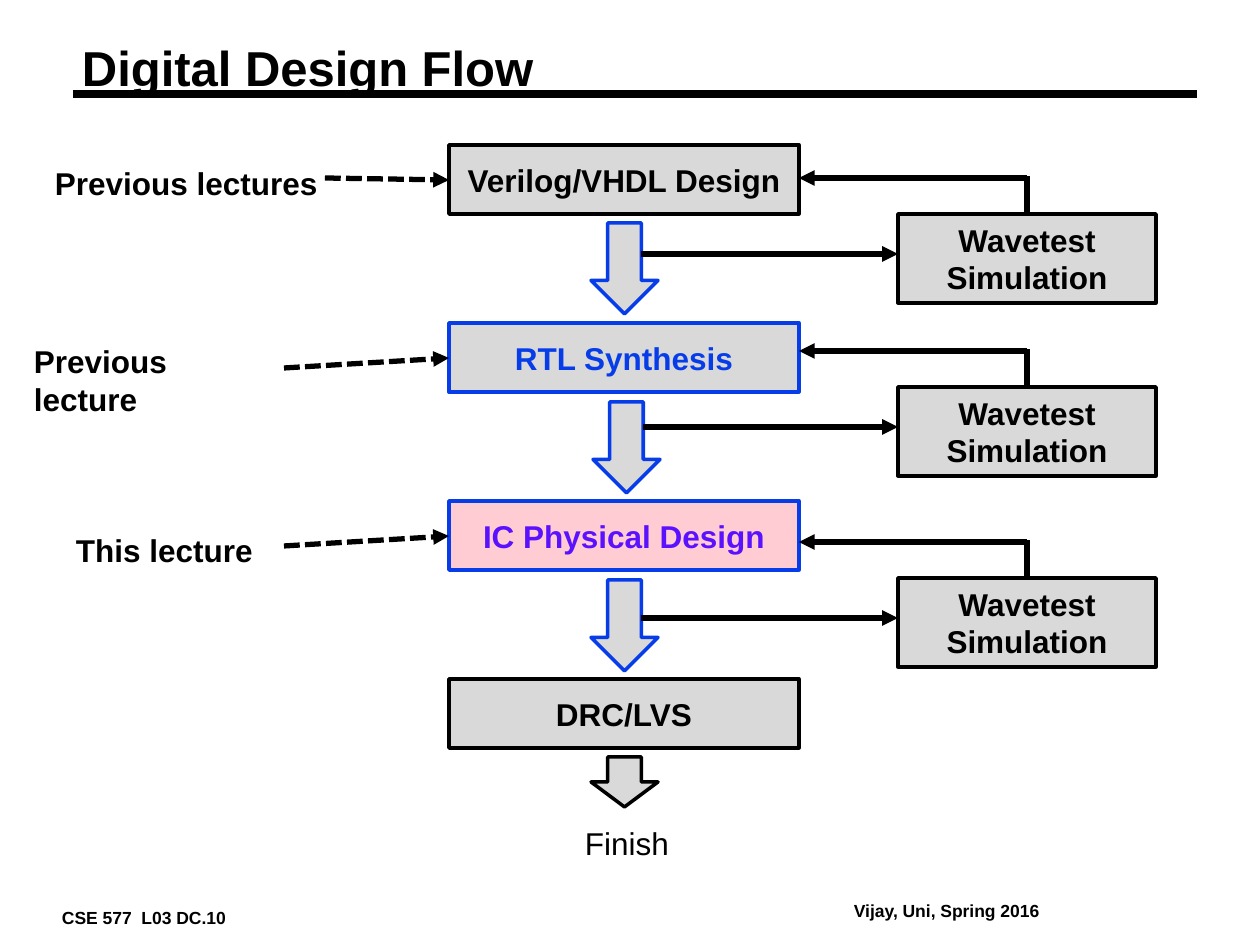
"""Build the Digital Design Flow slide."""
from dataclasses import dataclass

from lxml.etree import SubElement
from pptx import Presentation
from pptx.dml.color import RGBColor as RGB
from pptx.enum.dml import MSO_LINE as DASH
from pptx.enum.shapes import MSO_CONNECTOR as CONN, MSO_SHAPE as SHAPE
from pptx.enum.text import MSO_ANCHOR as ANCHOR, PP_ALIGN as ALIGN
from pptx.oxml.ns import qn
from pptx.util import Pt


@dataclass(frozen=True)
class Theme:
    font: str = "Arial"
    black: RGB = RGB(0, 0, 0)
    blue: RGB = RGB(0x06, 0x3D, 0xE8)
    violet: RGB = RGB(0x5A, 0x11, 0xFD)
    grey: RGB = RGB(0xD9, 0xD9, 0xD9)
    pink: RGB = RGB(0xFF, 0xCC, 0xD4)
    title: int = 28
    body: int = 18
    footer: int = 10
    outline: int = 2
    arrow: int = 3
    rule: float = 4.5


T = Theme()
PX = 914400 / 126

prs = Presentation()
prs.slide_width, prs.slide_height = round(1260 * PX), round(945 * PX)
s = prs.slides.add_slide(prs.slide_layouts[5])


def write(sp, text, size=T.body, color=T.black, bold=True, align=ALIGN.LEFT):
    """Fill a shape with evenly formatted paragraphs."""
    tf = sp.text_frame
    tf.text = text
    for p in tf.paragraphs:
        p.alignment = align
        p.font.name, p.font.size, p.font.bold = T.font, Pt(size), bold
        p.font.color.rgb = color
    return tf


def connect(x1, y1, x2, y2, width=T.arrow, head=True, dash=None):
    """Draw a straight black line, with an arrowhead at its end if wanted."""
    cxn = s.shapes.add_connector(CONN.STRAIGHT, *(round(v * PX) for v in (x1, y1, x2, y2)))
    cxn.line.color.rgb, cxn.line.width = T.black, Pt(width)
    if dash:
        cxn.line.dash_style = dash
    if head:
        SubElement(cxn.line._get_or_add_ln(), qn("a:tailEnd"), type="triangle")
    SubElement(cxn._element.spPr, qn("a:effectLst"))


title = s.shapes.title
title.left, title.top, title.width, title.height = (round(v * PX) for v in (73, 42, 1124, 58))
tf = write(title, "Digital Design Flow", T.title)
tf.vertical_anchor = ANCHOR.TOP
tf.paragraphs[0].line_spacing = 0.87
tf.margin_left = tf.margin_right = round(9 * PX)
tf.margin_top = tf.margin_bottom = round(4 * PX)
connect(73, 94, 1197, 94, T.rule, head=False)

BOX_X, BOX_W, BOX_H = 449, 350, 69
SIM_X, SIM_W, SIM_H = 898, 258, 89
ARROW_W = 67
SIM_MID = SIM_X + SIM_W // 2

stages = [
    ("Verilog/VHDL Design", T.grey, T.black, T.black),
    ("RTL Synthesis", T.grey, T.blue, T.blue),
    ("IC Physical Design", T.pink, T.blue, T.violet),
    ("DRC/LVS", T.grey, T.black, T.black),
]
down_arrows = [(591, 223, 91, T.blue), (593, 402, 91, T.blue),
               (591, 580, 91, T.blue), (591, 757, 50, T.black)]
sim_tops = [214, 387, 578]

blocks = [(SHAPE.RECTANGLE, BOX_X, 145 + 178 * i, BOX_W, BOX_H, fill, line, text, color)
          for i, (text, fill, line, color) in enumerate(stages)]
blocks += [(SHAPE.DOWN_ARROW, x, y, ARROW_W, h, T.grey, line, "", T.black)
           for x, y, h, line in down_arrows]
blocks += [(SHAPE.RECTANGLE, SIM_X, y, SIM_W, SIM_H, T.grey, T.black,
            "Wavetest\nSimulation", T.black) for y in sim_tops]

for kind, x, y, w, h, fill, line, text, color in blocks:
    sp = s.shapes.add_shape(kind, *(round(v * PX) for v in (x, y, w, h)))
    sp.shadow.inherit = False
    sp.fill.solid()
    sp.fill.fore_color.rgb = fill
    sp.line.color.rgb, sp.line.width = line, Pt(T.outline)
    if text:
        write(sp, text, color=color, align=ALIGN.CENTER).vertical_anchor = ANCHOR.MIDDLE

for top, (arrow_x, *_) in zip(sim_tops, down_arrows):
    connect(arrow_x + ARROW_W * 3 / 4, top + 40, SIM_X, top + 40)
    connect(SIM_MID, top - 36, BOX_X + BOX_W, top - 36)
    connect(SIM_MID, top + 2, SIM_MID, top - 38, head=False)

for x1, y1, y2 in [(325, 178, 180), (284, 368, 358), (284, 546, 536)]:
    connect(x1, y1, BOX_X, y2, dash=DASH.SQUARE_DOT)

labels = [
    ("Previous lectures", 42, 158, 291, 50, T.body, True, 13, 6),
    ("Previous lecture", 21, 336, 271, 50, T.body, True, 13, 6),
    ("This lecture", 63, 525, 204, 50, T.body, True, 13, 6),
    ("Finish", 572, 818, 111, 50, T.body, False, 13, 6),
    ("CSE 577  L03 DC.10", 53, 903, 185, 28, T.footer, True, 9, 4),
    ("Vijay, Uni, Spring 2016", 845, 896, 214, 28, T.footer, True, 9, 4),
]
for text, x, y, w, h, size, bold, side, edge in labels:
    tb = s.shapes.add_textbox(*(round(v * PX) for v in (x, y, w, h)))
    tf = write(tb, text, size, bold=bold)
    tf.word_wrap = False
    tf.margin_left = tf.margin_right = round(side * PX)
    tf.margin_top = tf.margin_bottom = round(edge * PX)

prs.save("out.pptx")
